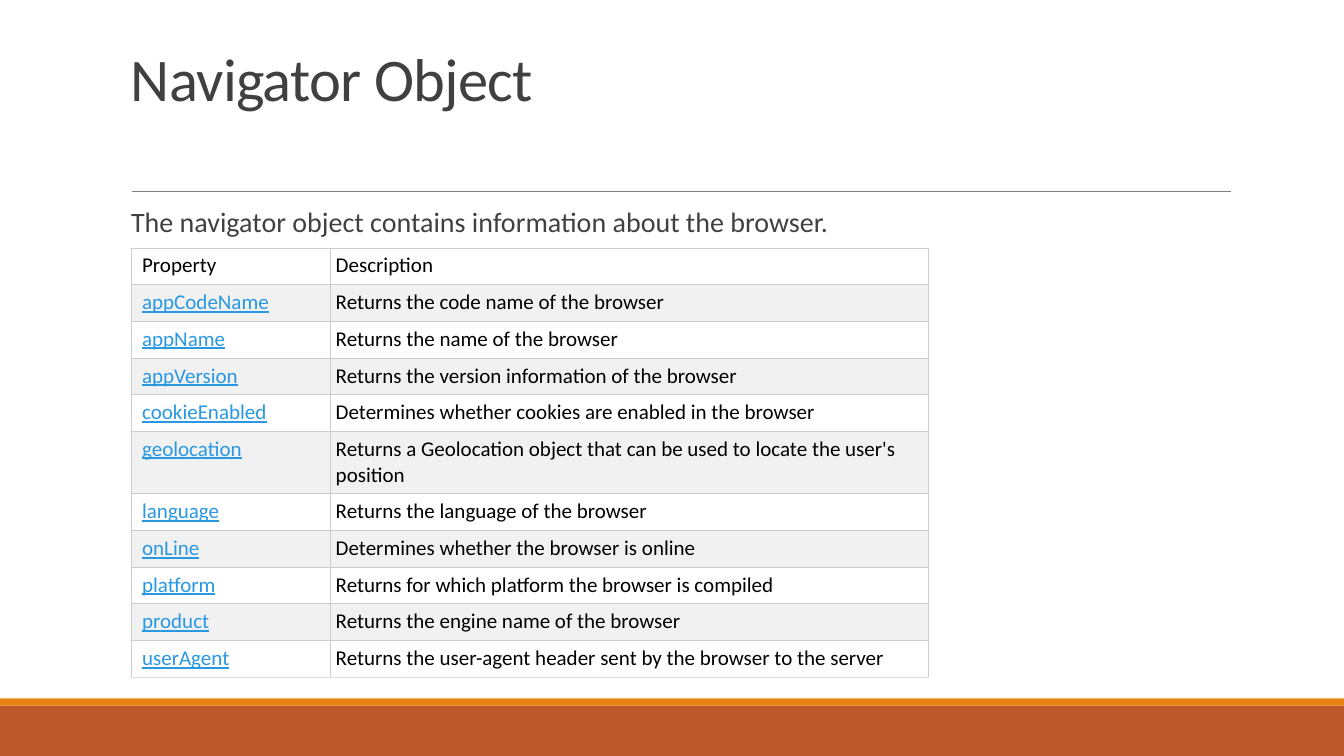
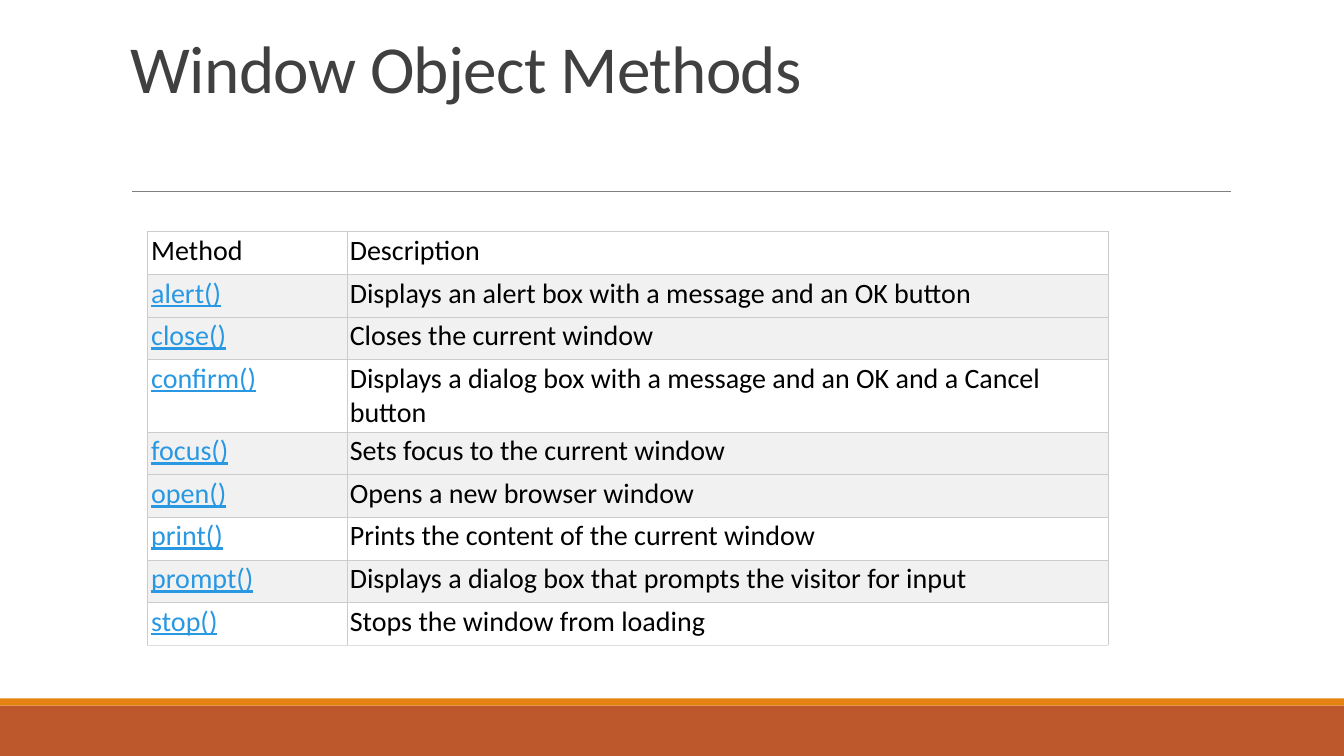
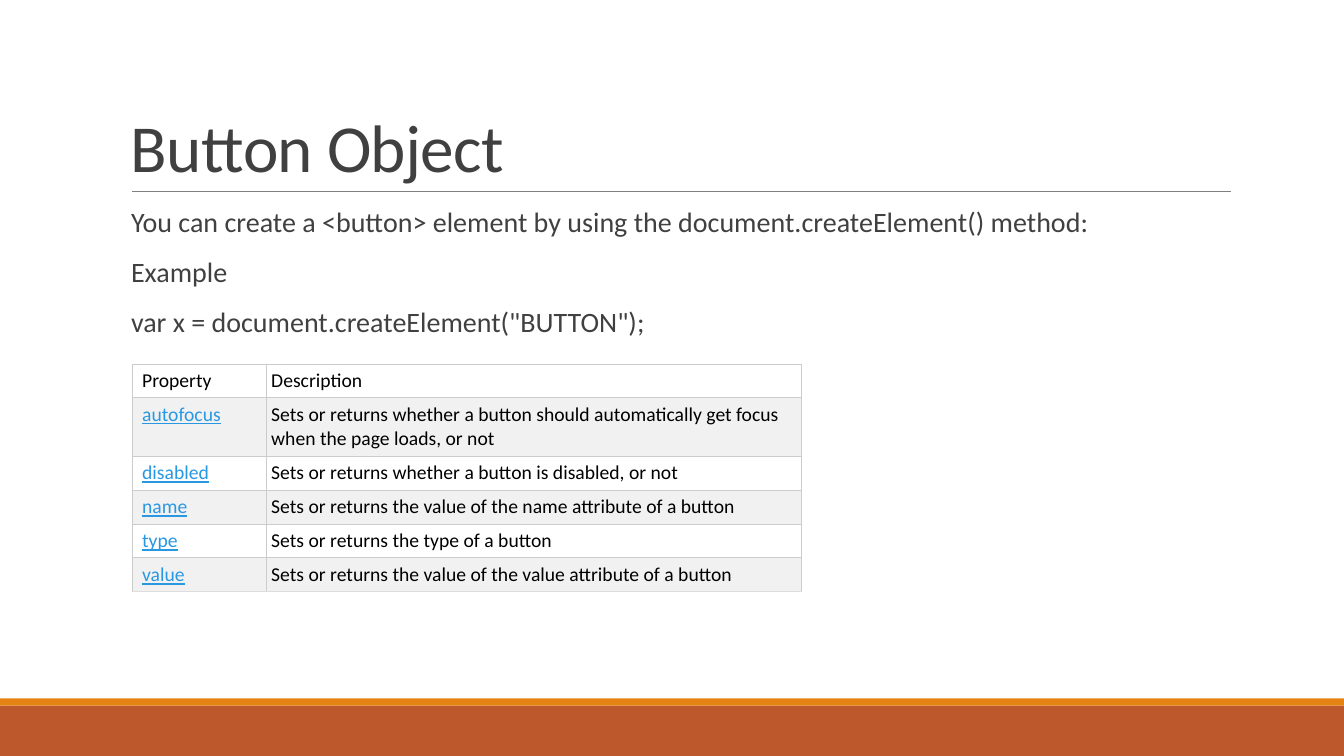
from dataclasses import dataclass

from lxml.etree import SubElement
from pptx import Presentation
from pptx.dml.color import RGBColor
from pptx.enum.shapes import MSO_CONNECTOR, MSO_SHAPE
from pptx.enum.text import MSO_ANCHOR
from pptx.oxml.ns import qn
from pptx.util import Inches, Pt

FONT = "Calibri"
WHITE = RGBColor(0xFF, 0xFF, 0xFF)
BLACK = RGBColor(0x00, 0x00, 0x00)
RUST = RGBColor(0xBD, 0x58, 0x2C)
ORANGE = RGBColor(0xE4, 0x83, 0x12)
RULE_GREY = RGBColor(0x80, 0x80, 0x80)
TEXT_GREY = RGBColor(0x40, 0x40, 0x40)
LINK_BLUE = RGBColor(0x29, 0x98, 0xE3)
ROW_GREY = RGBColor(0xF1, 0xF1, 0xF1)
BORDER = RGBColor(0xCC, 0xCC, 0xCC)
LAST_BORDER = RGBColor(0xDD, 0xDD, 0xDD)

SLIDE_WIDTH, SLIDE_HEIGHT = 13.33, 7.5
TITLE_LEFT, TITLE_TOP, TITLE_WIDTH = 1.2, 0.31, 11
RULE_TOP = 1.9
BODY_BOX = (1.3, 2.02, 10.9, 1.5)


@dataclass
class TableStyle:
    """Measurements of one reference table, with its tall and shaded rows."""

    box: tuple
    first_column: float
    tall_row: int
    tall_height: float
    shaded_rows: tuple
    size: float
    inset: float
    first_inset: float


def add_run(paragraph, text, size, color):
    """Add one run in the deck font and return it."""
    run = paragraph.add_run()
    run.text = text
    run.font.name = FONT
    run.font.size = Pt(size)
    run.font.color.rgb = color
    return run


def add_band(slide, top, height, color):
    """Draw a full-width colour band."""
    band = slide.shapes.add_shape(
        MSO_SHAPE.RECTANGLE, 0, Inches(top), Inches(SLIDE_WIDTH), Inches(height)
    )
    band.shadow.inherit = False
    band.fill.solid()
    band.fill.fore_color.rgb = color
    band.line.fill.background()


def add_frame(slide):
    """Draw the footer bands and the rule under the title."""
    add_band(slide, 7, 0.5, RUST)
    add_band(slide, 6.93, 0.07, ORANGE)
    rule = slide.shapes.add_connector(
        MSO_CONNECTOR.STRAIGHT,
        Inches(1.31), Inches(RULE_TOP), Inches(12.21), Inches(RULE_TOP),
    )
    rule.line.color.rgb = RULE_GREY
    rule.line.width = Pt(0.5)
    SubElement(rule._element.spPr, qn("a:effectLst"))


def add_title(slide, text, size, bottom):
    """Place the slide title so that it ends at the given bottom edge."""
    shape = slide.shapes.add_textbox(
        Inches(TITLE_LEFT), Inches(TITLE_TOP),
        Inches(TITLE_WIDTH), Inches(bottom - TITLE_TOP),
    )
    frame = shape.text_frame
    frame.word_wrap = True
    frame.vertical_anchor = MSO_ANCHOR.BOTTOM
    paragraph = frame.paragraphs[0]
    paragraph.line_spacing = 0.85
    run = add_run(paragraph, text, size, TEXT_GREY)
    run.font._element.set("spc", "-50")


def add_body(slide, box, lines):
    """Write the introductory paragraphs into the box."""
    frame = slide.shapes.add_textbox(*map(Inches, box)).text_frame
    frame.word_wrap = True
    frame.margin_left = frame.margin_right = 0
    for index, line in enumerate(lines):
        paragraph = frame.add_paragraph() if index else frame.paragraphs[0]
        paragraph.line_spacing = 0.9
        paragraph.space_before = Pt(12 if index else 0)
        paragraph.space_after = Pt(2)
        add_run(paragraph, line, 20, TEXT_GREY)


def set_borders(cell, bottom_color):
    """Give a cell thin borders on all four sides."""
    properties = cell._tc.get_or_add_tcPr()
    for side in "LRTB":
        line = SubElement(properties, qn(f"a:ln{side}"), w=str(Pt(0.6)))
        fill = SubElement(line, qn("a:solidFill"))
        color = bottom_color if side == "B" else BORDER
        SubElement(fill, qn("a:srgbClr"), val=str(color))


def add_reference_table(slide, rows, style):
    """Build a two-column table of linked names and their descriptions."""
    width, height = style.box[2:]
    table = slide.shapes.add_table(len(rows), 2, *map(Inches, style.box)).table
    table.first_row = table.horz_banding = False
    table.columns[0].width = Inches(style.first_column)
    table.columns[1].width = Inches(width - style.first_column)
    row_height = (height - style.tall_height) / (len(rows) - 1)
    for row_index, texts in enumerate(rows):
        tall = row_index == style.tall_row
        table.rows[row_index].height = Inches(style.tall_height if tall else row_height)
        last = row_index == len(rows) - 1
        for column, text in enumerate(texts):
            cell = table.cell(row_index, column)
            set_borders(cell, LAST_BORDER if last else BORDER)
            cell.fill.solid()
            cell.fill.fore_color.rgb = ROW_GREY if row_index in style.shaded_rows else WHITE
            cell.margin_top = cell.margin_right = cell.margin_bottom = Inches(style.inset)
            cell.margin_left = Inches(style.inset if column else style.first_inset)
            linked = row_index > 0 and column == 0
            run = add_run(
                cell.text_frame.paragraphs[0], text, style.size,
                LINK_BLUE if linked else BLACK,
            )
            run.font.underline = linked


def add_reference_slide(presentation, title, title_size, title_bottom, lines, rows, style):
    """Add a slide with a title, optional introduction and reference table."""
    slide = presentation.slides.add_slide(presentation.slide_layouts[6])
    add_frame(slide)
    add_title(slide, title, title_size, title_bottom)
    if lines:
        add_body(slide, BODY_BOX, lines)
    add_reference_table(slide, rows, style)


NAVIGATOR_ROWS = [
    ("Property", "Description"),
    ("appCodeName", "Returns the code name of the browser"),
    ("appName", "Returns the name of the browser"),
    ("appVersion", "Returns the version information of the browser"),
    ("cookieEnabled", "Determines whether cookies are enabled in the browser"),
    ("geolocation", "Returns a Geolocation object that can be used to locate the user's position"),
    ("language", "Returns the language of the browser"),
    ("onLine", "Determines whether the browser is online"),
    ("platform", "Returns for which platform the browser is compiled"),
    ("product", "Returns the engine name of the browser"),
    ("userAgent", "Returns the user-agent header sent by the browser to the server"),
]
WINDOW_ROWS = [
    ("Method", "Description"),
    ("alert()", "Displays an alert box with a message and an OK button"),
    ("close()", "Closes the current window"),
    ("confirm()", "Displays a dialog box with a message and an OK and a Cancel button"),
    ("focus()", "Sets focus to the current window"),
    ("open()", "Opens a new browser window"),
    ("print()", "Prints the content of the current window"),
    ("prompt()", "Displays a dialog box that prompts the visitor for input"),
    ("stop()", "Stops the window from loading"),
]
BUTTON_ROWS = [
    ("Property", "Description"),
    ("autofocus", "Sets or returns whether a button should automatically get focus when the page loads, or not"),
    ("disabled", "Sets or returns whether a button is disabled, or not"),
    ("name", "Sets or returns the value of the name attribute of a button"),
    ("type", "Sets or returns the type of a button"),
    ("value", "Sets or returns the value of the value attribute of a button"),
]
BUTTON_LINES = [
    "You can create a <button> element by using the document.createElement() method:",
    "Example",
    'var x = document.createElement("BUTTON");',
]


def main():
    """Build the three slides and save the presentation."""
    presentation = Presentation()
    presentation.slide_width = Inches(SLIDE_WIDTH)
    presentation.slide_height = Inches(SLIDE_HEIGHT)
    add_reference_slide(
        presentation, "Navigator Object", 43.2, 1.18,
        ["The navigator object contains information about the browser."],
        NAVIGATOR_ROWS,
        TableStyle((1.3, 2.46, 7.91, 4.26), 1.98, 5, 0.62, (1, 3, 5, 7, 9), 15, 0.05, 0.11),
    )
    add_reference_slide(
        presentation, "Window Object Methods", 48, 1.11, [], WINDOW_ROWS,
        TableStyle((1.46, 2.3, 9.53, 4.1), 1.99, 3, 0.72, (1, 2, 4, 5, 7), 20, 0.02, 0.04),
    )
    add_reference_slide(
        presentation, "Button Object", 48, RULE_TOP, BUTTON_LINES, BUTTON_ROWS,
        TableStyle((1.31, 3.61, 6.64, 2.26), 1.33, 1, 0.58, (1, 3, 5), 14, 0.05, 0.1),
    )
    presentation.save("out.pptx")


if __name__ == "__main__":
    main()
